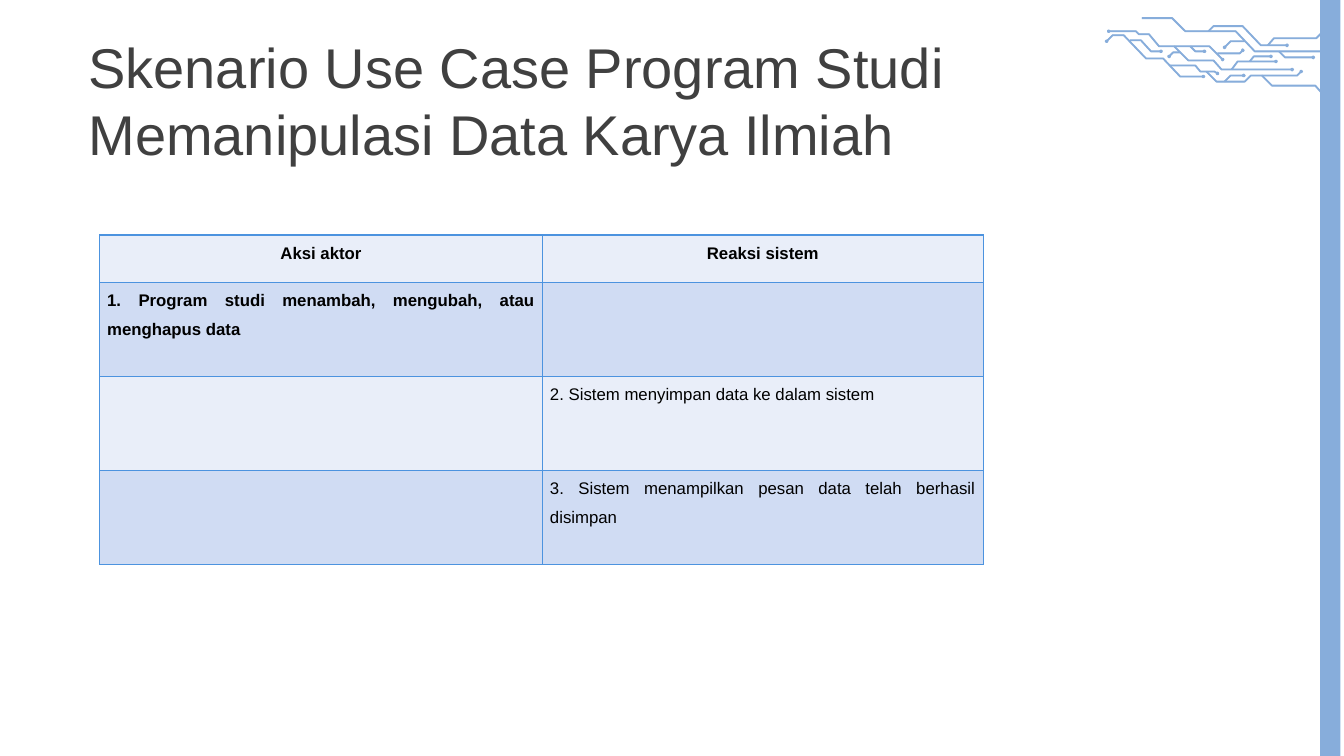
from lxml import etree
from pptx import Presentation
from pptx.dml.color import RGBColor
from pptx.enum.shapes import MSO_SHAPE
from pptx.enum.text import MSO_ANCHOR, PP_ALIGN
from pptx.oxml.ns import qn
from pptx.util import Cm, Pt

RECTANGLE = MSO_SHAPE.RECTANGLE
MIDDLE = MSO_ANCHOR.MIDDLE
CENTER, JUSTIFY = PP_ALIGN.CENTER, PP_ALIGN.JUSTIFY

FONT = "Arial"
TITLE_GREY = RGBColor(0x40, 0x40, 0x40)
BLACK = RGBColor(0x00, 0x00, 0x00)
BORDER_BLUE = RGBColor(0x4C, 0x93, 0xDF)
ACCENT_BLUE = RGBColor(0x87, 0xAD, 0xDB)
BANDS = (RGBColor(0xE9, 0xEE, 0xF9), RGBColor(0xD0, 0xDC, 0xF3))

TITLE = "Skenario Use Case Program Studi Memanipulasi Data Karya Ilmiah"
STEPS = [
    ("Aksi aktor", "Reaksi sistem"),
    ("1. Program studi menambah, mengubah, atau menghapus data", ""),
    ("", "2. Sistem menyimpan data ke dalam sistem"),
    ("", "3. Sistem menampilkan pesan data telah berhasil disimpan"),
]
BOLD_ROWS = 2
COL_WIDTHS = (11.16, 11.11)
ROW_HEIGHTS = (1.19, 2.37, 2.37, 2.37)

# Circuits in hundredths of an inch; every trace ends in a dot,
# and the first trace of a circuit may start with one too
GRID = Cm(2.54) // 100
DOT_RADIUS = 1
LAYER_WIDTHS = (1.3, 0.7)  # points: edge, then core
CIRCUITS = [
    (True, [
        [(1100, 31), (1127, 31), (1130, 34), (1140, 34), (1150, 46),
         (1200, 46), (1213, 59)],
        [(1208, 53), (1230, 53), (1233, 50)],
        [(1181, 46), (1186, 51), (1195, 51)],
        [(1165, 46), (1179, 60), (1204, 60), (1212, 69), (1282, 69)],
        [(1222, 69), (1228, 61), (1266, 61)],
        [(1240, 61), (1244, 56), (1261, 56)],
        [(1171, 52), (1164, 52), (1160, 56)],
    ]),
    (False, [
        [(1133, 18), (1163, 18), (1176, 31), (1226, 31), (1245, 51),
         (1315, 51)],
        [(1199, 31), (1204, 26), (1233, 26), (1251, 45), (1277, 45)],
        [(1258, 45), (1264, 38), (1306, 38), (1313, 31)],
        [(1235, 41), (1221, 41), (1215, 47)],
        [(1269, 51), (1275, 57), (1303, 57)],
    ]),
    (True, [
        [(1098, 41), (1104, 35), (1115, 35), (1137, 58), (1154, 58),
         (1171, 76), (1194, 76)],
        [(1121, 40), (1132, 40), (1142, 51), (1152, 51)],
        [(1161, 65), (1186, 65), (1191, 71), (1205, 71), (1208, 73)],
        [(1197, 71), (1207, 81), (1235, 81), (1241, 75), (1252, 75),
         (1262, 85), (1305, 85), (1313, 94)],
        [(1215, 81), (1221, 75), (1234, 75)],
        [(1252, 75), (1287, 75), (1291, 71)],
    ]),
]


def style_paragraph(p, size, color, bold=False):
    p.font.name = FONT
    p.font.size = Pt(size)
    p.font.color.rgb = color
    p.font.bold = bold


def add_title(slide):
    tf = slide.shapes.add_textbox(Cm(1.98), Cm(0.67), Cm(22.5), Cm(3.68)).text_frame
    tf.word_wrap = True
    tf.vertical_anchor = MIDDLE
    p = tf.paragraphs[0]
    p.text = TITLE
    style_paragraph(p, 40, TITLE_GREY)


def set_borders(cell):
    tc_pr = cell._tc.get_or_add_tcPr()
    for side in ("a:lnL", "a:lnR", "a:lnT", "a:lnB"):
        ln = etree.SubElement(tc_pr, qn(side), w=str(Pt(1)))
        fill = etree.SubElement(ln, qn("a:solidFill"))
        etree.SubElement(fill, qn("a:srgbClr"), val=str(BORDER_BLUE))


def add_steps_table(slide):
    frame = slide.shapes.add_table(
        len(STEPS), len(COL_WIDTHS), Cm(2.51), Cm(5.92),
        Cm(sum(COL_WIDTHS)), Cm(sum(ROW_HEIGHTS)))
    table = frame.table
    table.first_row = table.horz_banding = False
    for column, width in zip(table.columns, COL_WIDTHS):
        column.width = Cm(width)
    for i, (texts, height) in enumerate(zip(STEPS, ROW_HEIGHTS)):
        table.rows[i].height = Cm(height)
        for j, text in enumerate(texts):
            cell = table.cell(i, j)
            set_borders(cell)
            cell.fill.solid()
            cell.fill.fore_color.rgb = BANDS[i % 2]
            cell.margin_left = cell.margin_right = Cm(0.19)
            cell.margin_top = cell.margin_bottom = 0
            p = cell.text_frame.paragraphs[0]
            p.text = text
            p.line_spacing = 1.5
            p.alignment = JUSTIFY if i else CENTER
            p.space_after = Pt(0 if i else 10)
            style_paragraph(p, 12, BLACK, i < BOLD_ROWS)


def add_side_bar(slide):
    sp = slide.shapes.add_shape(RECTANGLE, Cm(33.27), 0, Cm(0.51), Cm(19.05))
    sp.shadow.inherit = False
    sp.fill.solid()
    sp.fill.fore_color.rgb = ACCENT_BLUE
    sp.line.fill.background()


def add_circuit(slide, start_dot, traces, width):
    """Draw all traces of a circuit, with their dots, as one outline."""
    dots = [trace[-1] for trace in traces]
    if start_dot:
        dots.append(traces[0][0])
    builder = slide.shapes.build_freeform(*traces[0][0], scale=GRID)
    for trace in traces:
        builder.move_to(*trace[0])
        builder.add_line_segments(trace[1:], close=False)
    for x, y in dots:
        builder.move_to(x - DOT_RADIUS, y)
        builder.add_line_segments(
            [(x, y - DOT_RADIUS), (x + DOT_RADIUS, y), (x, y + DOT_RADIUS)])
    sp = builder.convert_to_shape()
    sp.shadow.inherit = False
    sp.fill.background()
    sp.line.color.rgb = ACCENT_BLUE
    sp.line.width = Pt(width)


def main():
    prs = Presentation()
    prs.slide_width, prs.slide_height = Cm(33.87), Cm(19.05)
    slide = prs.slides.add_slide(prs.slide_layouts[6])
    add_title(slide)
    add_steps_table(slide)
    add_side_bar(slide)
    for start_dot, traces in CIRCUITS:
        for width in LAYER_WIDTHS:
            add_circuit(slide, start_dot, traces, width)
    prs.save("out.pptx")


if __name__ == "__main__":
    main()
